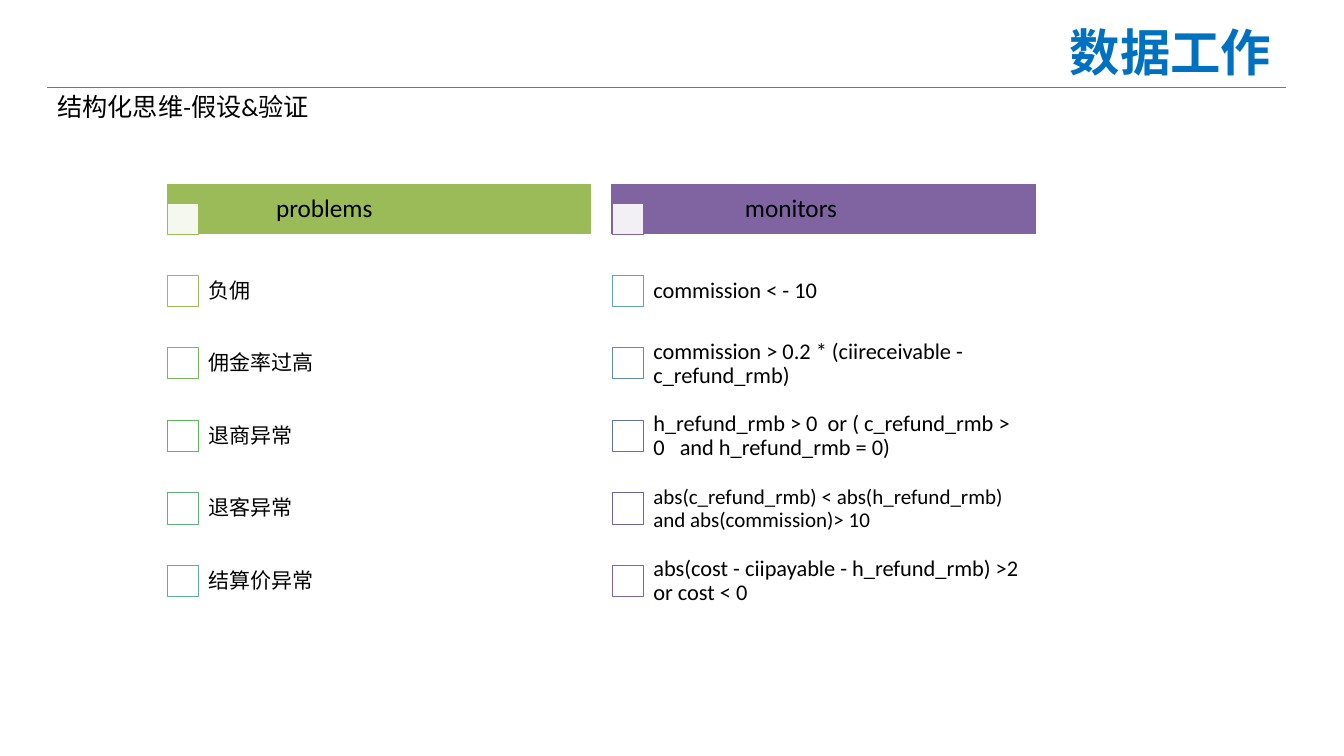
from lxml import etree
from pptx import Presentation
from pptx.dml.color import RGBColor
from pptx.enum.shapes import MSO_CONNECTOR, MSO_SHAPE
from pptx.enum.text import MSO_ANCHOR, MSO_AUTO_SIZE, PP_ALIGN
from pptx.oxml.ns import qn
from pptx.util import Inches, Pt

RECTANGLE = MSO_SHAPE.RECTANGLE
STRAIGHT = MSO_CONNECTOR.STRAIGHT
TOP, MIDDLE = MSO_ANCHOR.TOP, MSO_ANCHOR.MIDDLE
LEFT, RIGHT = PP_ALIGN.LEFT, PP_ALIGN.RIGHT
NO_FIT = MSO_AUTO_SIZE.NONE

COLOURS = {
    "title": "0070C0", "rule": "4B7EBC", "text": "000000", "white": "FFFFFF",
    "green": "9BBB59", "purple": "8064A2",
}
LATIN, CHINESE = "Calibri", "Noto Sans CJK SC"
HEADER_TOP, FIRST_ROW, ROW_STEP = 1.83, 2.53, 0.72
COLUMN_WIDTH, BOX_SIZE = 4.2, 0.31

# Each row: text, size, outline of its check box
COLUMNS = [
    (1.66, "green", "problems", 2.64, [
        ("负佣", 15, "9BBB59"),
        ("佣金率过高", 15, "79B85A"),
        ("退商异常", 15, "5BB65D"),
        ("退客异常", 15, "5CB37C"),
        ("结算价异常", 15, "5EB099"),
    ]),
    (6.07, "purple", "monitors", 7.29, [
        ("commission < - 10", 16, "5FA8AD"),
        ("commission > 0.2 * (ciireceivable - c_refund_rmb)", 16, "608CAB"),
        ("h_refund_rmb > 0  or ( c_refund_rmb > 0   and h_refund_rmb = 0)",
         16, "6172A8"),
        ("abs(c_refund_rmb) < abs(h_refund_rmb) and abs(commission)> 10",
         15, "6A63A5"),
        ("abs(cost - ciipayable - h_refund_rmb) >2 or cost < 0", 16, "8064A2"),
    ]),
]


def colour(name):
    return RGBColor.from_string(COLOURS.get(name, name))


class Page:
    def __init__(self, deck):
        self.slide = deck.slides.add_slide(deck.slide_layouts[5])
        self.shapes = self.slide.shapes

    def set_text(self, box, text, size, name="text", font=LATIN, bold=False,
                 align=LEFT, anchor=TOP):
        frame = box.text_frame
        frame.text = text
        frame.word_wrap = True
        frame.auto_size = NO_FIT
        frame.vertical_anchor = anchor
        para = frame.paragraphs[0]
        para.alignment = align
        span = para.runs[0]
        span.font.size = Pt(size)
        span.font.bold = bold
        span.font.name = font
        span.font.color.rgb = colour(name)
        east_asian = etree.SubElement(span.font._element, qn("a:ea"))
        east_asian.set("typeface", CHINESE)
        return frame

    def title(self, text, left, top, width, height):
        box = self.shapes.title
        box.left, box.top = Inches(left), Inches(top)
        box.width, box.height = Inches(width), Inches(height)
        self.set_text(box, text, 36, "title", CHINESE, True, RIGHT)

    def label(self, text, left, top, width, height, size=18):
        box = self.shapes.add_textbox(
            Inches(left), Inches(top), Inches(width), Inches(height))
        return self.set_text(box, text, size)

    def item(self, text, left, top, size):
        frame = self.label(text, left, top, 3.91, ROW_STEP, size)
        frame.vertical_anchor = MIDDLE
        frame.margin_left = frame.margin_right = Inches(0.12)
        frame.margin_top = frame.margin_bottom = Inches(0.12)
        frame.paragraphs[0].line_spacing = 0.9

    def rectangle(self, left, top, width, height, fill, outline, opacity=100):
        shape = self.shapes.add_shape(
            RECTANGLE, Inches(left), Inches(top), Inches(width), Inches(height))
        shape.shadow.inherit = False
        shape.fill.solid()
        shape.fill.fore_color.rgb = colour(fill)
        shape.line.color.rgb = colour(outline)
        shape.line.width = Pt(0.75)
        if opacity < 100:
            fill_colour = shape._element.spPr.find(
                qn("a:solidFill")).find(qn("a:srgbClr"))
            alpha = etree.SubElement(fill_colour, qn("a:alpha"))
            alpha.set("val", str(opacity * 1000))

    def rule(self, left, right, top):
        line = self.shapes.add_connector(
            STRAIGHT, Inches(left), Inches(top), Inches(right), Inches(top))
        line.line.color.rgb = colour("rule")
        line.line.width = Pt(0.75)
        etree.SubElement(line._element.spPr, qn("a:effectLst"))


def main():
    deck = Presentation()
    deck.slide_width, deck.slide_height = Inches(13.33), Inches(7.5)
    page = Page(deck)

    # Heading
    page.rule(0.47, 12.75, 0.87)
    page.title("数据工作", 7.6, 0.16, 5.11, 0.71)
    page.label("结构化思维-假设&验证", 0.47, 0.86, 3.03, 0.4)

    # Two columns, each with a header bar and a check list
    for left, accent, heading, heading_left, rows in COLUMNS:
        page.rectangle(left, HEADER_TOP, COLUMN_WIDTH, 0.49, accent, accent)
        page.rectangle(left, 2.02, BOX_SIZE, BOX_SIZE, "white", accent, 90)
        page.label(heading, heading_left, 1.86, 2.13, 0.4)
        for index, (text, size, outline) in enumerate(rows):
            top = FIRST_ROW + index * ROW_STEP
            page.rectangle(left, top + 0.2, BOX_SIZE, BOX_SIZE, "white", outline)
            page.item(text, left + 0.29, top, size)

    deck.save("out.pptx")


if __name__ == "__main__":
    main()
